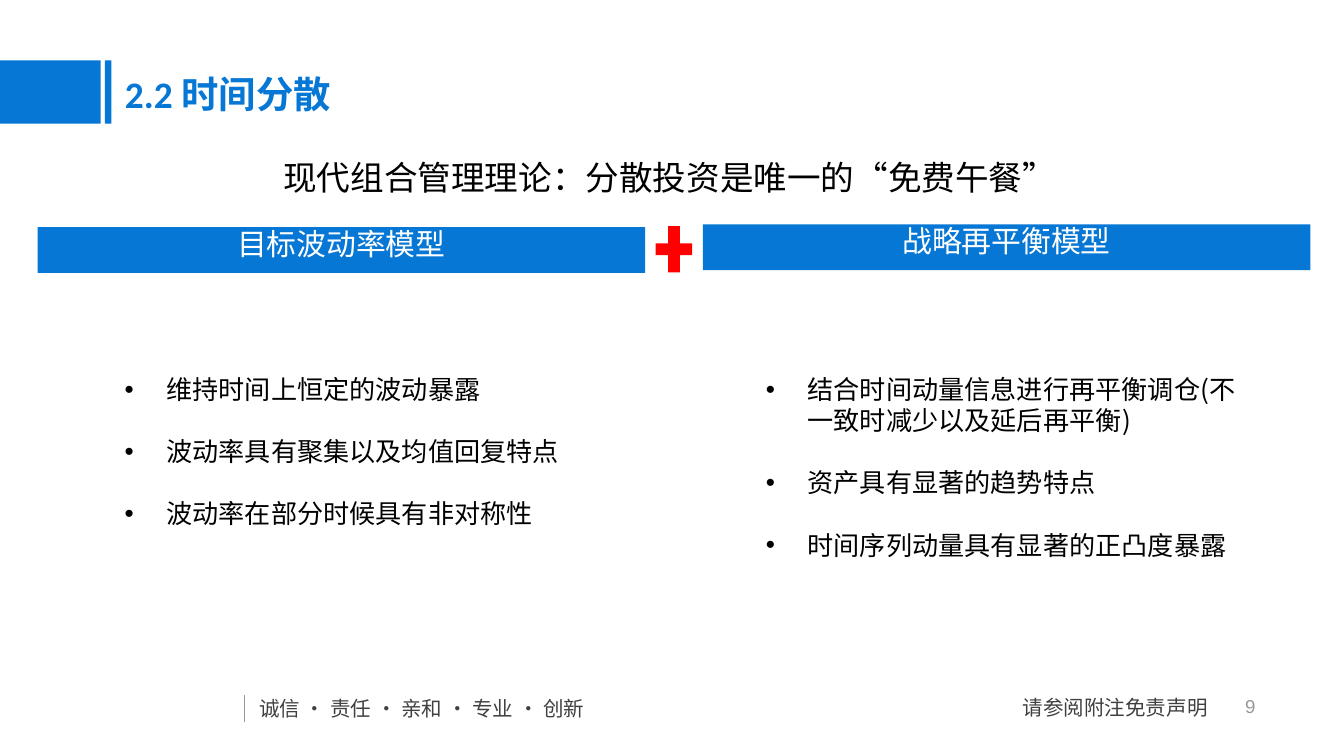
"""Build the time diversification slide with two model columns."""
from dataclasses import dataclass

from lxml import etree
from pptx import Presentation
from pptx import util as u
from pptx.dml.color import RGBColor
from pptx.enum import shapes as sh, text as tx
from pptx.oxml.ns import qn

HUES = {"blue": "0677D5", "red": "FF0000", "white": "FFFFFF",
        "black": "000000", "dark": "404040", "gray": "999999"}
CJK = "Noto Sans CJK SC"
LEAD = 1.19
HANG = 0.31
WIDE = 10
Box = tuple[float, float, float, float]


@dataclass
class Style:
    """Hold the look of a paragraph."""
    size: float
    hue: str
    face: str = CJK
    bold: bool = False
    align: tx.PP_ALIGN = tx.PP_ALIGN.LEFT


@dataclass
class Label:
    """Hold one single-line text box."""
    box: Box
    words: str
    style: Style


@dataclass
class Model:
    """Hold one column: its banner and its bullet points."""
    left: float
    top: float
    head: str
    body: Box
    points: list[str]


LABELS = [
    Label((1.83, 5.13, 2.94, 0.29), "诚信 · 责任 · 亲和 · 专业 · 创新", Style(11, "dark")),
    Label((7.51, 5.12, 1.66, 0.29), "请参阅附注免责声明", Style(11, "dark")),
    Label((2.01, 1.12, 5.98, 0.4), "现代组合管理理论：分散投资是唯一的“免费午餐”",
          Style(18, "black")),
]
MODELS = [
    Model(0.28, 1.69, "目标波动率模型", (0.83, 2.49, 3.46, 1.51),
          ["维持时间上恒定的波动暴露", "波动率具有聚集以及均值回复特点",
           "波动率在部分时候具有非对称性"]),
    Model(5.23, 1.67, "战略再平衡模型", (5.6, 2.49, 3.78, 2.29),
          ["结合时间动量信息进行再平衡调仓(不一致时减少以及延后再平衡)",
           "资产具有显著的趋势特点", "时间序列动量具有显著的正凸度暴露"]),
]


def rgb(hue: str) -> RGBColor:
    """Return the named colour."""
    return RGBColor.from_string(HUES[hue])


def write(para, words: str, style: Style) -> None:
    """Fill and format a paragraph."""
    para.text = words
    para.alignment = style.align
    para.line_spacing = u.Pt(style.size * LEAD)
    font = para.font
    font.size, font.bold, font.name = u.Pt(style.size), style.bold, style.face
    font.color.rgb = rgb(style.hue)
    props = para._p.pPr.find(qn("a:defRPr"))
    etree.SubElement(props, qn("a:ea")).set("typeface", CJK)


def frame(pen, box: Box, pad: tuple[float, float] = (0.1, 0.05), wrap: bool = True):
    """Add a text box and return its frame."""
    body = pen.add_textbox(*map(u.Inches, box)).text_frame
    body.word_wrap = wrap
    body.margin_left = body.margin_right = u.Inches(pad[0])
    body.margin_top = body.margin_bottom = u.Inches(pad[1])
    return body


def block(pen, kind: sh.MSO_SHAPE, box: Box, hue: str) -> None:
    """Add a plain filled shape."""
    item = pen.add_shape(kind, *map(u.Inches, box))
    item.shadow.inherit = False
    item.fill.solid()
    item.fill.fore_color.rgb = rgb(hue)
    item.line.fill.background()


def bullets(pen, box: Box, points: list[str]) -> None:
    """Add a bulleted list with a blank line's gap above each point."""
    style = Style(14, "black")
    body = frame(pen, box)
    body.margin_top = u.Inches(0.29)
    for i, point in enumerate(points):
        para = body.add_paragraph() if i else body.paragraphs[0]
        write(para, point, style)
        if i:
            para.space_before = u.Pt(style.size * LEAD)
        props = para._p.pPr
        props.set("marL", str(u.Inches(HANG)))
        props.set("indent", str(-u.Inches(HANG)))
        mark = etree.Element(qn("a:buFont"), typeface="Arial")
        sign = etree.Element(qn("a:buChar"), char="•")
        rest = props.find(qn("a:defRPr"))
        rest.addprevious(mark)
        rest.addprevious(sign)


def column(pen, model: Model) -> None:
    """Add a model's banner and points."""
    band = pen.add_group_shape().shapes
    block(band, sh.MSO_SHAPE.RECTANGLE, (model.left, model.top, 4.52, 0.34), "blue")
    body = frame(band, (model.left, model.top - 0.06, 4.52, 0.37), (0.04, 0.05))
    write(body.paragraphs[0], model.head,
          Style(16, "white", align=tx.PP_ALIGN.CENTER))
    bullets(pen, model.body, model.points)


def heading(pen) -> None:
    """Place the title and the blue blocks beside it."""
    marks = pen.add_group_shape().shapes
    for left, wide in ((0, 0.75), (0.78, 0.05)):
        block(marks, sh.MSO_SHAPE.RECTANGLE, (left, 0.45, wide, 0.47), "blue")
    title = pen.title
    title.left, title.top, title.width, title.height = map(
        u.Inches, (0.83, 0.48, 8.43, 0.44))
    body = title.text_frame
    body.auto_size = tx.MSO_AUTO_SIZE.NONE
    body.vertical_anchor = tx.MSO_ANCHOR.TOP
    write(body.paragraphs[0], "2.2 时间分散", Style(20, "blue", "Calibri", True))


def footer(pen) -> None:
    """Add the footer rule and the page number."""
    rule = pen.add_connector(sh.MSO_CONNECTOR.STRAIGHT,
                             *map(u.Inches, (1.82, 5.17, 1.82, 5.37)))
    rule.line.color.rgb = rgb("gray")
    rule.line.width = u.Pt(0.75)
    etree.SubElement(rule._element.spPr, qn("a:effectLst"))
    body = frame(pen, (9.17, 5.17, 0.21, 0.17), (0, 0), False)
    write(body.paragraphs[0], "9 ",
          Style(10, "gray", "Arial", align=tx.PP_ALIGN.RIGHT))


def main() -> None:
    """Build and save the slide."""
    deck = Presentation()
    deck.slide_width, deck.slide_height = u.Inches(WIDE), u.Inches(WIDE * 9 / 16)
    pen = deck.slides.add_slide(deck.slide_layouts[5]).shapes
    footer(pen)
    heading(pen)
    for model in MODELS:
        column(pen, model)
    block(pen, sh.MSO_SHAPE.MATH_PLUS, (4.83, 1.62, 0.37, 0.47), "red")
    for label in LABELS:
        write(frame(pen, label.box).paragraphs[0], label.words, label.style)
    deck.save("out.pptx")


if __name__ == "__main__":
    main()
